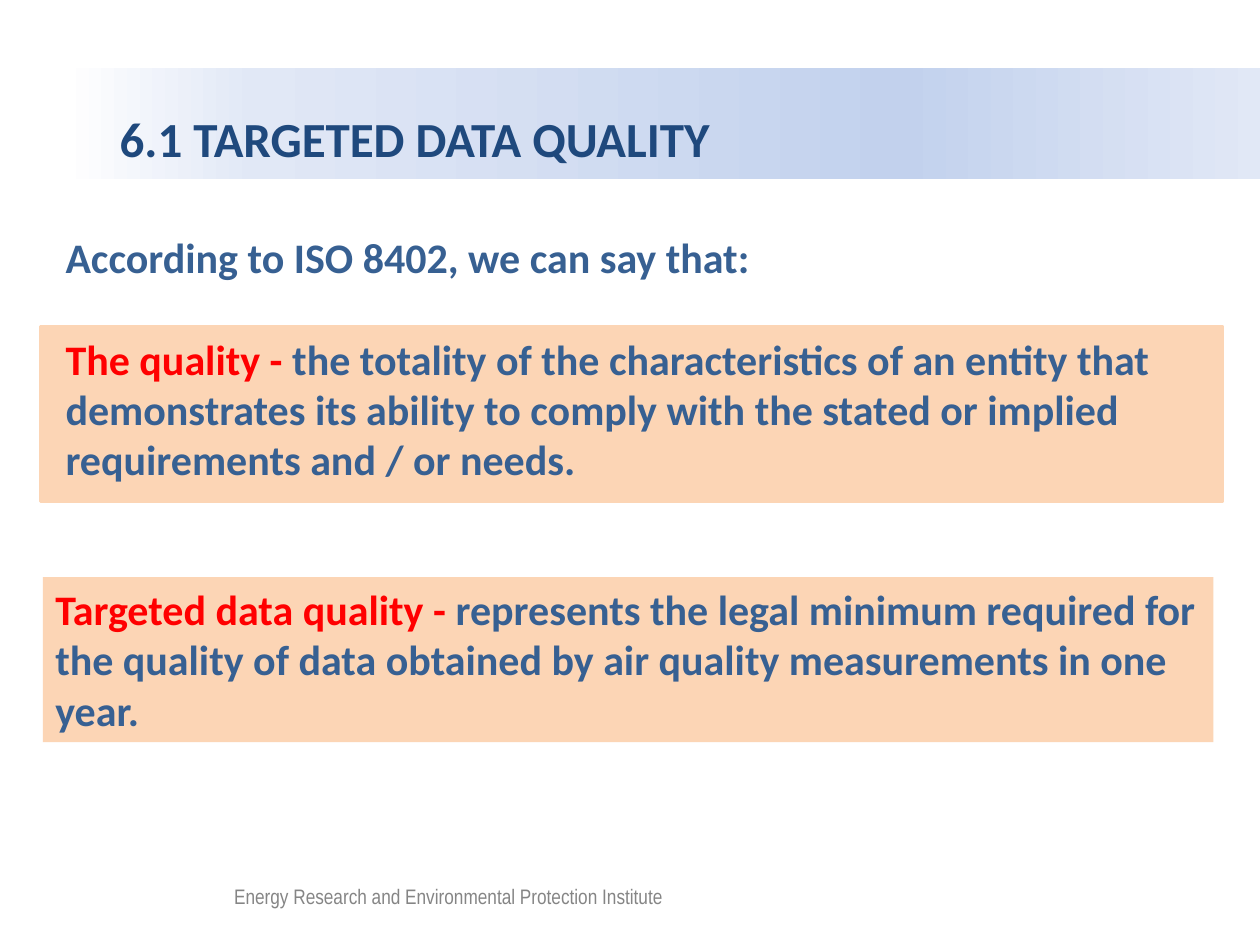
from lxml import etree
from pptx import Presentation
from pptx import util as u
from pptx.dml.color import RGBColor
from pptx.enum import shapes, text
from pptx.oxml.ns import qn

WHITE = RGBColor(0xFF, 0xFF, 0xFF)
BLACK = RGBColor(0, 0, 0)
NAVY = RGBColor(0x1F, 0x49, 0x7D)
BLUE = RGBColor(0x37, 0x60, 0x92)
RED = RGBColor(0xFF, 0, 0)
PEACH = RGBColor(0xFC, 0xD5, 0xB5)
PALE = RGBColor(0xE1, 0xE8, 0xF6)
MID = RGBColor(0xC2, 0xD1, 0xED)
BAND_STOPS = [(0, WHITE), (16, PALE), (70, MID), (100, PALE)]


def place(sp, left, top, width, height):
    sp.left, sp.top = u.Inches(left), u.Inches(top)
    sp.width, sp.height = u.Inches(width), u.Inches(height)


def style(r, size, color, font="Calibri", bold=True):
    r.font.name, r.font.size, r.font.bold = font, u.Pt(size), bold
    r.font.color.rgb = color


def add_panel(parent, box, color):
    sp = parent.add_shape(shapes.MSO_SHAPE.RECTANGLE, *map(u.Inches, box))
    sp.shadow.inherit = False
    sp.fill.solid()
    sp.fill.fore_color.rgb = color
    sp.line.fill.background()
    return sp


def fill_gradient(sp, stops):
    sp.fill.gradient()
    sp.fill.gradient_angle = 0
    gs_lst = sp.fill._fill._gradFill.find(qn("a:gsLst"))
    for gs in list(gs_lst):
        gs_lst.remove(gs)
    for pos, color in stops:
        gs = etree.SubElement(gs_lst, qn("a:gs"), pos=str(pos * 1000))
        etree.SubElement(gs, qn("a:srgbClr"), val=str(color))


def write_definition(p, term, meaning):
    p.alignment = text.PP_ALIGN.LEFT
    for words, color in ((term, RED), (meaning, BLUE)):
        r = p.add_run()
        r.text = words
        style(r, 24, color)


def set_title(sp, words):
    place(sp, 0.5, 0.54, 9.5, 0.88)
    fill_gradient(sp, BAND_STOPS)
    tf = sp.text_frame
    tf.text = words
    tf.auto_size = text.MSO_AUTO_SIZE.NONE
    tf.vertical_anchor = text.MSO_ANCHOR.MIDDLE
    tf.margin_left = u.Inches(0.45)
    p = tf.paragraphs[0]
    p.alignment, p.line_spacing = text.PP_ALIGN.LEFT, 1.5
    style(p.runs[0], 28, NAVY)


def set_body(sp, intro, term, meaning):
    place(sp, 0.42, 1.79, 9.21, 2.12)
    tf = sp.text_frame
    tf.text = intro
    tf.auto_size = text.MSO_AUTO_SIZE.NONE
    style(tf.paragraphs[0].runs[0], 24, BLUE)
    write_definition(tf.add_paragraph(), term, meaning)
    for p, gap in zip(tf.paragraphs, (0, 29)):
        p.space_before = u.Pt(gap)
        pPr = p._p.get_or_add_pPr()
        pPr.set("marL", "0")
        pPr.set("indent", "0")
        etree.SubElement(pPr, qn("a:buNone"))


def add_footer(s, words):
    grp = s.shapes.add_group_shape()
    tb = grp.shapes.add_textbox(*map(u.Inches, (1.76, 6.96, 3.64, 0.3)))
    tf = tb.text_frame
    tf.text = words
    tf.word_wrap = False
    style(tf.paragraphs[0].runs[0], 12, BLACK, "Arial Narrow", False)
    # Translucent white veil softens the text
    veil = add_panel(grp.shapes, (0.41, 6.93, 5.44, 0.48), WHITE)
    clr = veil._element.spPr.find(qn("a:solidFill"))[0]
    etree.SubElement(clr, qn("a:alpha"), val="52000")


def main():
    prs = Presentation()
    prs.slide_width, prs.slide_height = u.Inches(10), u.Inches(7.5)
    s = prs.slides.add_slide(prs.slide_layouts[1])

    # Panel behind the first definition
    panel = add_panel(s.shapes, (0.32, 2.59, 9.38, 1.39), PEACH)
    panel.line.color.rgb, panel.line.width = PEACH, u.Pt(2)
    s.shapes._spTree.insert(2, panel._element)

    # Title, footer and body
    set_title(s.shapes.title, "6.1 TARGETED DATA QUALITY")
    add_footer(s, "Energy Research and Environmental Protection Institute")
    set_body(s.placeholders[1], "According to ISO 8402, we can say that:",
             "The quality - ",
             "the totality of the characteristics of an entity that demonstrates "
             "its ability to comply with the stated or implied requirements "
             "and / or needs.")

    # Second definition
    target = add_panel(s.shapes, (0.34, 4.58, 9.29, 1.31), PEACH)
    tf = target.text_frame
    tf.word_wrap = True
    tf.vertical_anchor = text.MSO_ANCHOR.TOP
    write_definition(tf.paragraphs[0], "Targeted data quality - ",
                     "represents the legal minimum required for the quality of "
                     "data obtained by air quality measurements in one year.")

    prs.save("out.pptx")


if __name__ == "__main__":
    main()
